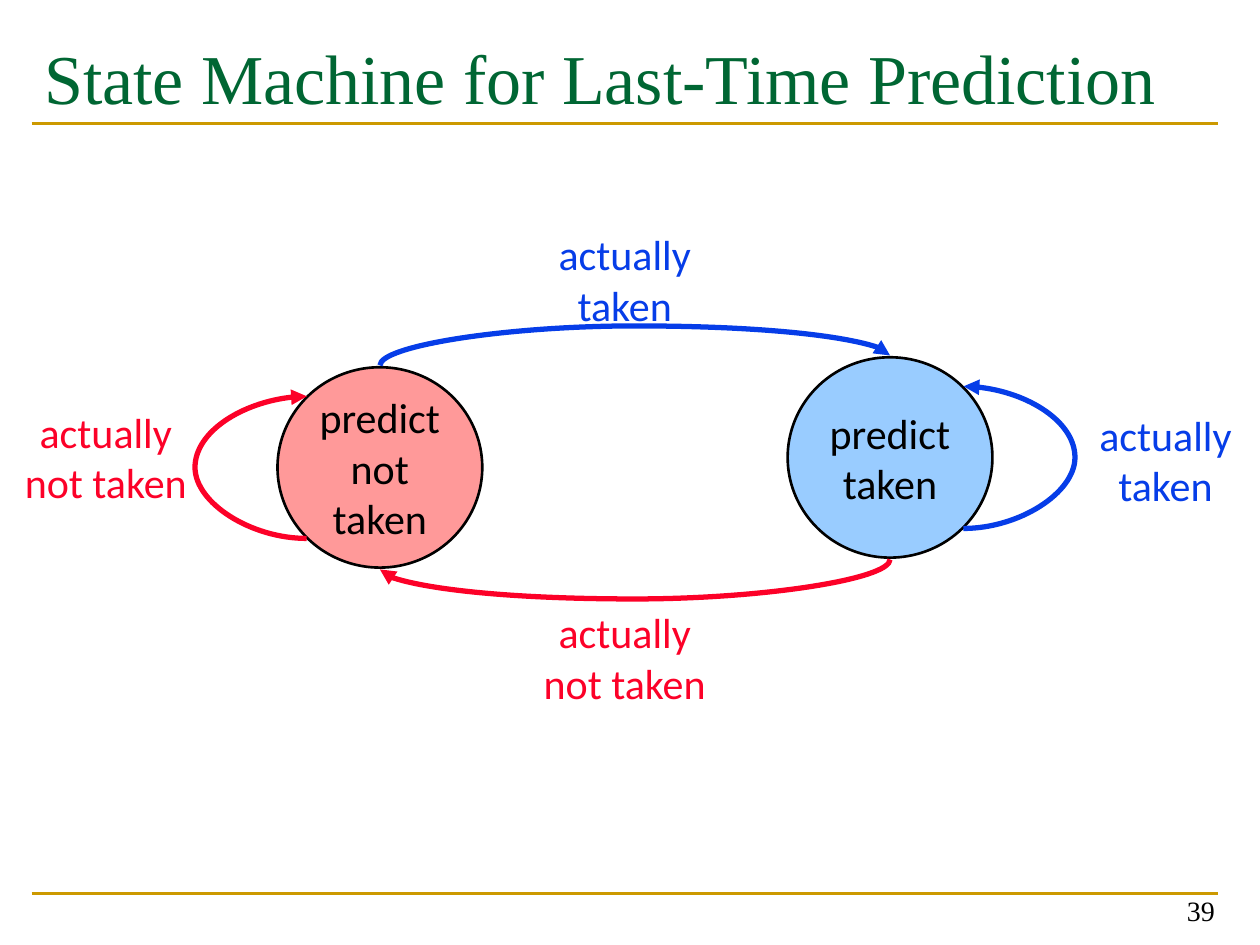
from lxml import etree
from pptx import Presentation
from pptx.dml.color import RGBColor
from pptx.enum import shapes, text
from pptx.oxml import ns
from pptx.util import Pt

RED, BLUE, BLACK, GOLD = "FC0128", "063DE8", "000000", "CC9900"
TITLE = "State Machine for Last-Time Prediction"
PAGE = "39"
RULES = [70.5, 510.5]
STATES = [
    (["predict", "not", "taken"], (217.1, 267.1), "FF9999"),
    (["predict", "taken"], (508.6, 261.4), "99CCFF"),
]
LABELS = [
    (["actually", "taken"], (357, 159.5), BLUE),
    (["actually", "not taken"], (357, 375.5), RED),
    (["actually", "taken"], (666, 262.5), BLUE),
    (["actually", "not taken"], (60.5, 261), RED),
]
ARCS = [(90, 1, RED), (270, -1, BLUE)]
LOOPS = [(-1, RED), (1, BLUE)]
WIDE, HIGH = 117, 114.5
REACH, SIDE, SPAN = 58.3, 41.9, 81.2
RISE, BULGE, THIN = 22.6, 58.5, 0.13
MID, TOP = text.MSO_ANCHOR.MIDDLE, text.MSO_ANCHOR.TOP
CENTER, LEFT, RIGHT = text.PP_ALIGN.CENTER, text.PP_ALIGN.LEFT, text.PP_ALIGN.RIGHT


def color(code):
    return RGBColor.from_string(code)


def assign(item, values):
    for name, value in values.items():
        setattr(item, name, value)


def place(center, width, height):
    x, y = center
    return [Pt(n) for n in (x - width / 2, y - height / 2, width, height)]


def write(shape, lines, tint, size=24, face="Calibri", align=CENTER, **frame):
    body = shape.text_frame
    assign(body, {"word_wrap": False, "vertical_anchor": MID, **frame})
    body.text = "\n".join(lines)
    for para in body.paragraphs:
        para.alignment = align
        assign(para.runs[0].font, {"size": Pt(size), "name": face, "bold": False})
        para.runs[0].font.color.rgb = color(tint)


def connect(kind, ends, tint, width):
    link = slide.shapes.add_connector(kind, *[Pt(n) for n in ends])
    link.line.width = Pt(width)
    link.line.color.rgb = color(tint)
    etree.SubElement(link._element.spPr, ns.qn("a:effectLst"))
    return link


def curve(ends, tint, ratio, turn=0):
    link = connect(shapes.MSO_CONNECTOR.CURVE, ends, tint, 3)
    props = link._element.spPr
    props.find(ns.qn("a:xfrm")).set("rot", str(turn * 60000))
    geom = props.find(ns.qn("a:prstGeom"))
    guides = geom.find(ns.qn("a:avLst"))
    if guides is None:
        guides = etree.SubElement(geom, ns.qn("a:avLst"))
    etree.SubElement(guides, ns.qn("a:gd"), name="adj1", fmla=f"val {round(ratio * 100000)}")
    etree.SubElement(props.find(ns.qn("a:ln")), ns.qn("a:tailEnd"), type="triangle")


deck = Presentation()
assign(deck, {"slide_width": Pt(720), "slide_height": Pt(540)})
slide = deck.slides.add_slide(deck.slide_layouts[5])

title = slide.shapes.title
assign(title, dict(zip(("left", "top", "width", "height"), map(Pt, (18, 12.2, 678.2, 84.2)))))
write(title, [TITLE], "006633", 40, "Times New Roman", LEFT,
      word_wrap=True, vertical_anchor=TOP, margin_top=Pt(7.5))

for y in RULES:
    connect(shapes.MSO_CONNECTOR.STRAIGHT, (18, y, 696.2, y), GOLD, 1.5)

page = slide.shapes.add_textbox(Pt(533.5), Pt(497.5), Pt(167.8), Pt(36))
write(page, [PAGE], BLACK, 16, "Times New Roman", RIGHT,
      word_wrap=True, vertical_anchor=text.MSO_ANCHOR.BOTTOM)

for lines, center, fill in STATES:
    state = slide.shapes.add_shape(shapes.MSO_SHAPE.OVAL, *place(center, WIDE, HIGH))
    state.shadow.inherit = False
    state.fill.solid()
    state.fill.fore_color.rgb = color(fill)
    state.line.color.rgb = color(BLACK)
    state.line.width = Pt(1.5)
    write(state, lines, BLACK)

(ax, ay), (bx, by) = [center for _, center, _ in STATES]
gap, run = ay - by, bx - ax
for turn, side, tint in ARCS:
    x, y = (ax + bx - gap) / 2, (ay + by - run) / 2 + side * REACH
    curve((x, y, x + gap, y + run), tint, RISE / gap, turn)

for (side, tint), (_, (cx, cy), _) in zip(LOOPS, STATES):
    x = cx + side * SIDE
    curve((x, cy + SPAN / 2, x + THIN, cy - SPAN / 2), tint, side * BULGE / THIN)

for lines, center, tint in LABELS:
    write(slide.shapes.add_textbox(*place(center, 108, 65.5)), lines, tint)

deck.save("out.pptx")
